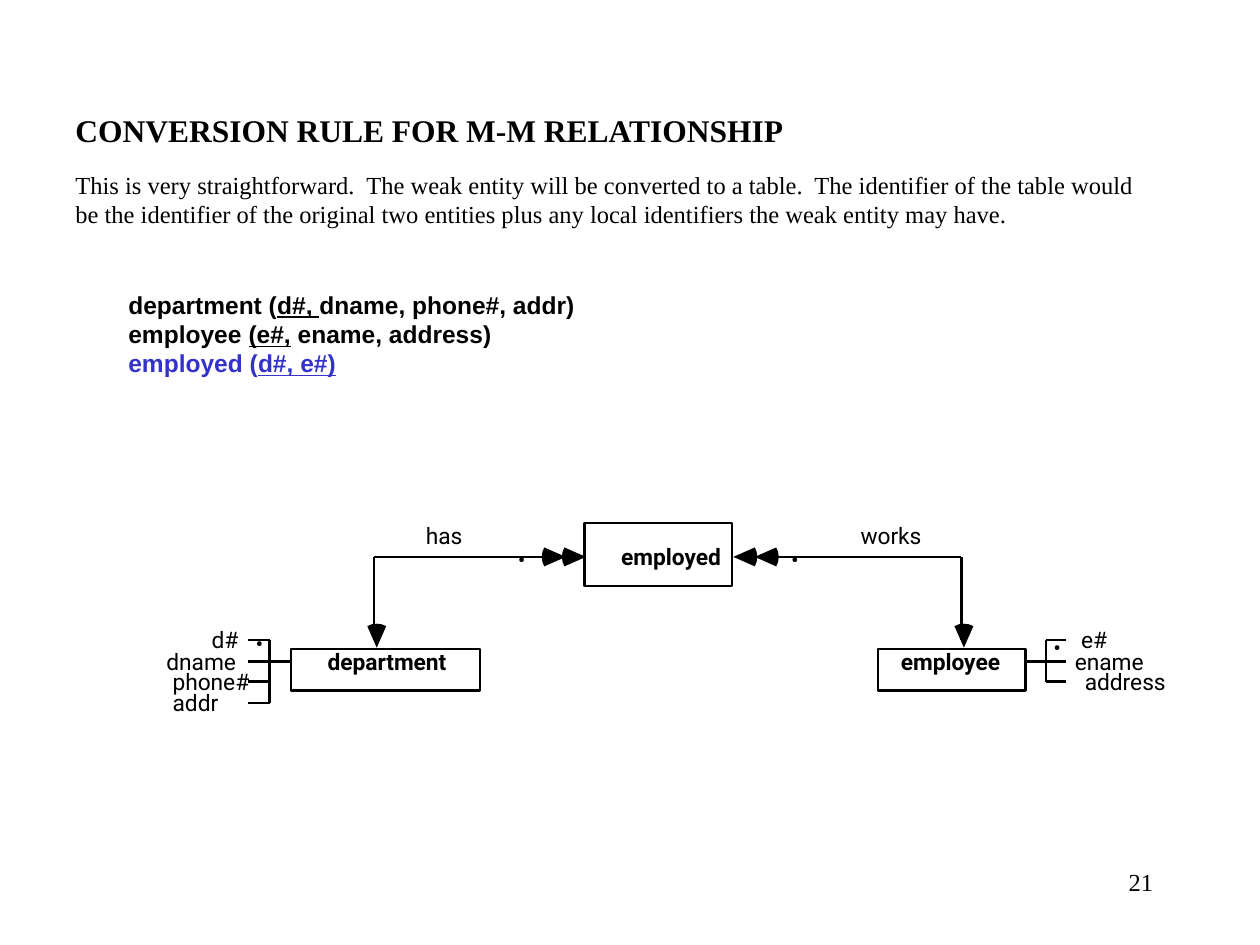
from lxml.etree import SubElement
from pptx import Presentation
from pptx.dml.color import RGBColor
from pptx.enum.shapes import MSO_CONNECTOR, MSO_SHAPE
from pptx.enum.text import MSO_AUTO_SIZE, PP_ALIGN
from pptx.oxml.ns import qn
from pptx.util import Emu, Pt

PX = 9144  # EMU per px, 100 px to the inch
BLACK, WHITE, BLUE = "000000", "FFFFFF", "3333CC"
SERIF, SANS, LABEL = "Times New Roman", "Arial", "Roboto"


def px(*lengths):
    return [Emu(round(n * PX)) for n in lengths]


def rgb(value):
    return RGBColor.from_string(value)


class Diagram:
    """Holds the drawing style and the current slide."""

    line_width = Pt(1.39)

    def __init__(self, slide):
        self.s = slide

    def run(self, p, text, color=BLACK, **font):
        r = p.add_run()
        r.text = text
        r.font.color.rgb = rgb(color)
        for name, value in font.items():
            setattr(r.font, name, value)

    def frame(self, x, y, w, h, margins=(0, 0), **props):
        tf = self.s.shapes.add_textbox(*px(x, y, w, h)).text_frame
        side, top = px(*margins)
        values = dict(margin_left=side, margin_right=side,
                      margin_top=top, margin_bottom=top, **props)
        for name, value in values.items():
            setattr(tf, name, value)
        return tf

    def label(self, x, y, w, text, bold=False):
        tf = self.frame(x, y, w, 22, word_wrap=False,
                        auto_size=MSO_AUTO_SIZE.SHAPE_TO_FIT_TEXT)
        self.run(tf.paragraphs[0], text, name=LABEL, size=Pt(13), bold=bold)

    def box(self, x, y, w, h):
        sp = self.s.shapes.add_shape(MSO_SHAPE.RECTANGLE, *px(x, y, w, h))
        sp.shadow.inherit = False
        sp.fill.solid()
        sp.fill.fore_color.rgb = rgb(WHITE)
        sp.line.color.rgb = rgb(BLACK)
        sp.line.width = self.line_width

    def line(self, x1, y1, x2, y2):
        cx = self.s.shapes.add_connector(MSO_CONNECTOR.STRAIGHT, *px(x1, y1, x2, y2))
        cx.line.color.rgb = rgb(BLACK)
        cx.line.width = self.line_width
        SubElement(cx._element.spPr, qn("a:effectLst"))

    def head(self, x, y, dx, dy):
        """Arrowhead with a rounded back, its tip at x, y, pointing along dx, dy."""
        back = [(17, -7.5), (18.5, -4), (19, 0), (18.5, 4), (17, 7.5)]
        points = [px(x - dx * a - dy * b, y - dy * a + dx * b) for a, b in back]
        fb = self.s.shapes.build_freeform(*px(x, y), scale=1.0)
        fb.add_line_segments(points, close=True)
        sp = fb.convert_to_shape()
        sp.shadow.inherit = False
        sp.fill.solid()
        sp.fill.fore_color.rgb = rgb(BLACK)
        sp.line.fill.background()


def add_page_number(d):
    tf = d.frame(717, 683, 208, 50, (10, 5), word_wrap=True)
    p = tf.paragraphs[0]
    p.alignment = PP_ALIGN.RIGHT
    d.run(p, "21", name=SERIF, size=Pt(14))


def add_body(d):
    tf = d.frame(50, 83, 875, 247, (10, 5), word_wrap=True)
    p = tf.paragraphs[0]
    d.run(p, "CONVERSION RULE FOR M-M RELATIONSHIP", name=SERIF, size=Pt(18), bold=True)
    p = tf.add_paragraph()
    p.space_before = Pt(12)
    d.run(p, "This is very straightforward.  The weak entity will be converted to a table.  "
          "The identifier of the table would be the identifier of the original two entities "
          "plus any local identifiers the weak entity may have.", name=SERIF, size=Pt(14))

    # Relations: text before the key, the underlined key, text after it
    relations = [
        ("department (", "d#, ", "dname, phone#, addr)", BLACK, 35),
        ("employee ", "(e#,", " ename, address)", BLACK, 0),
        ("employed (", "d#, e#)", "", BLUE, 0),
    ]
    for before, key, after, color, gap in relations:
        p = tf.add_paragraph()
        p.space_before = Pt(gap)
        p._p.get_or_add_pPr().set("marL", str(42 * PX))
        for text, underline in ((before, False), (key, True), (after, False)):
            if text:
                d.run(p, text, color, name=SANS, size=Pt(14), bold=True, underline=underline)


def add_entities(d):
    for box in [(231, 515, 150, 33), (697, 515, 117, 33), (464, 415, 117, 50)]:
        d.box(*box)
    for x, y, w, name in [(260, 514, 108, "department"), (715, 514, 88, "employee"),
                          (493, 431, 89, "employed")]:
        d.label(x, y, w, name, bold=True)


def add_attributes(d):
    # Brackets: spine, outer tick end, side of the entity, tick rows
    for spine, tick, entity, rows in [(214, 197, 230, (508, 525, 541, 558)),
                                      (830, 846, 813, (508, 525, 541))]:
        d.line(spine, rows[0], spine, rows[-1])
        d.line(spine, 525, entity, 525)
        for y in rows:
            d.line(spine, y, tick, y)
    for x, y, w, name in [(168, 497, 23, "d#"), (132, 514, 59, "dname"),
                          (137, 530, 66, "phone#"), (137, 547, 39, "addr"),
                          (858, 497, 22, "e#"), (853, 514, 58, "ename"),
                          (861, 530, 67, "address")]:
        d.label(x, y, w, name)


def add_relationships(d):
    # Elbow lines from employed down to each entity
    for corner, end, inner in [(297, 449, (380, 432)), (763, 595, (611, 663))]:
        d.line(corner, 442, end, 442)
        d.line(inner[0], 442, inner[1], 442)
        d.line(corner, 508, corner, 442)
    # Double heads at employed, single heads at the entities
    for x, dx in [(465, 1), (449, 1), (582, -1), (599, -1)]:
        d.head(x, 442, dx, 0)
    for x in (299, 765):
        d.head(x, 514, 0, 1)
    d.label(338, 414, 30, "has")
    d.label(683, 414, 50, "works")
    for x, y in [(411, 433), (628, 433), (203, 500), (836, 503)]:
        d.label(x, y, 7, "•")


def main():
    prs = Presentation()
    prs.slide_width, prs.slide_height = px(1000, 750)
    d = Diagram(prs.slides.add_slide(prs.slide_layouts[6]))
    for part in (add_page_number, add_body, add_entities, add_attributes, add_relationships):
        part(d)
    prs.save("out.pptx")


if __name__ == "__main__":
    main()
